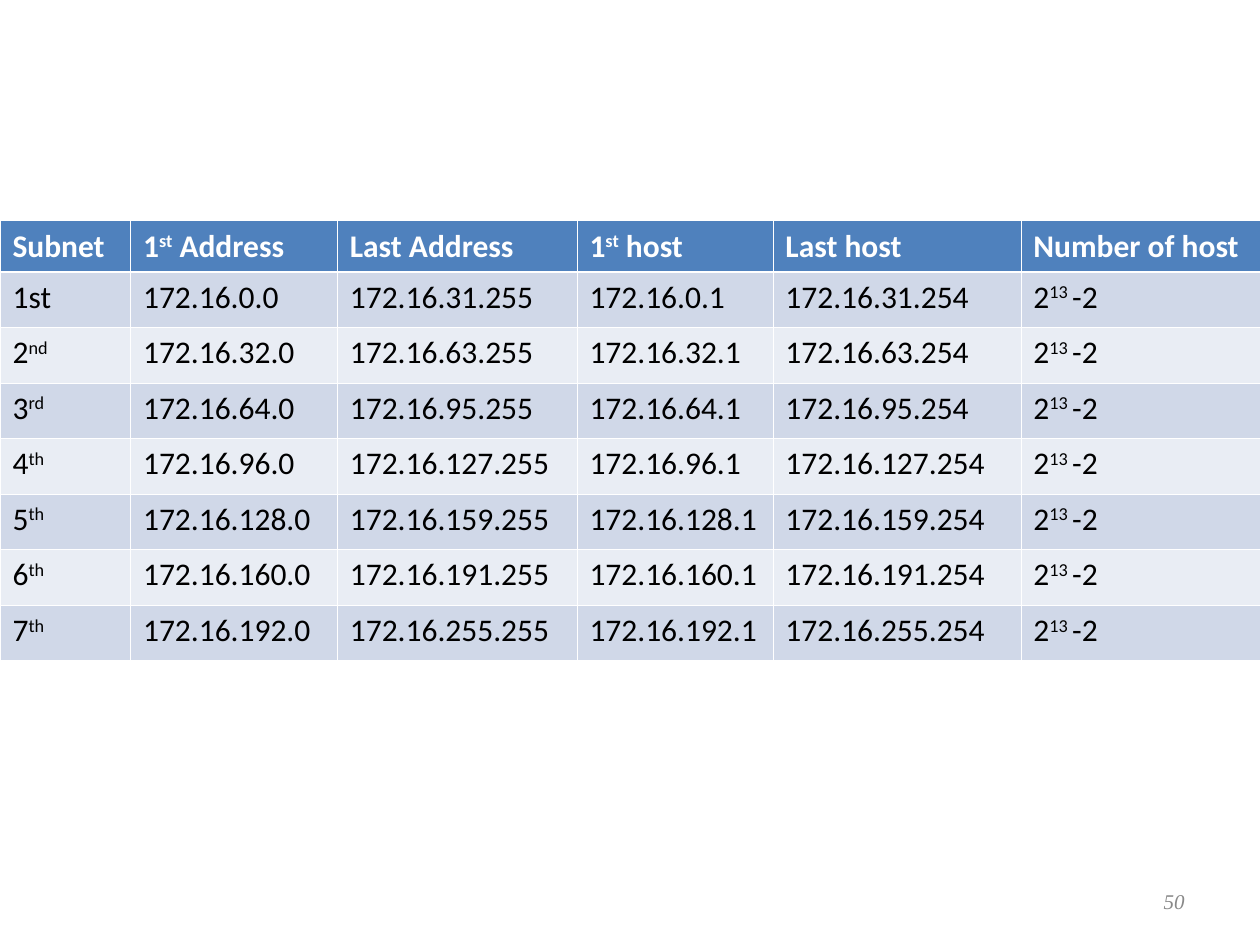
from lxml import etree
from pptx import Presentation
from pptx.dml.color import RGBColor
from pptx.enum.text import MSO_ANCHOR, PP_ALIGN
from pptx.oxml.ns import qn
from pptx.util import Cm, Pt

MIDDLE = MSO_ANCHOR.MIDDLE
RIGHT = PP_ALIGN.RIGHT

HUES = {"head": "4F81BD", "dark": "D0D8E8", "light": "E9EDF4",
        "white": "FFFFFF", "black": "000000", "gray": "898989"}
HEAD = {"name": "Calibri", "size": Pt(18), "bold": True}
BODY = {"name": "Calibri", "size": Pt(18), "bold": False}
PAGE = {"name": "Times New Roman", "size": Pt(12), "italic": True}


def write(para, text, form, hue):
    for i, part in enumerate(text.split("^")):
        run = para.add_run()
        run.text = part
        for key, value in form.items():
            setattr(run.font, key, value)
        run.font.color.rgb = RGBColor.from_string(HUES[hue])
        if i % 2:
            run.font._element.set("baseline", "30000")


def edge(cell, side, width):
    line = etree.SubElement(cell._tc.get_or_add_tcPr(), qn("a:ln" + side), w=str(Pt(width)))
    fill = etree.SubElement(line, qn("a:solidFill"))
    etree.SubElement(fill, qn("a:srgbClr"), val=HUES["white"])


deck = Presentation()
deck.slide_width, deck.slide_height = Cm(25.4), Cm(19.05)
slide = deck.slides.add_slide(deck.slide_layouts[6])

names = ["1st", "2^nd", "3^rd", "4^th", "5^th", "6^th", "7^th"]
rows = [["Subnet", "1^st^ Address", "Last Address", "1^st^ host", "Last host", "Number of host"]]
for i, name in enumerate(names):
    first = 32 * i
    last = first + 31 if i < len(names) - 1 else 255
    rows.append([name, f"172.16.{first}.0", f"172.16.{last}.255",
                 f"172.16.{first}.1", f"172.16.{last}.254", "2^13 ^-2"])

widths = [2.63, 4.17, 4.83, 3.95, 5, 4.82]
highs = [1.02] + [1.12] * len(names)
table = slide.shapes.add_table(len(rows), len(widths), Cm(0), Cm(4.45),
                               Cm(sum(widths)), Cm(sum(highs))).table
for col, width in zip(table.columns, widths):
    col.width = Cm(width)
for row, high in zip(table.rows, highs):
    row.height = Cm(high)

for r, row in enumerate(rows):
    form, hue = (BODY, "black") if r else (HEAD, "white")
    back = ("dark" if r % 2 else "light") if r else "head"
    sides = {"L": 0.45, "R": 0.45, "T": 1.47 if r == 1 else 0.45, "B": 0.45 if r else 1.47}
    for c, text in enumerate(row):
        cell = table.cell(r, c)
        for side, width in sides.items():
            edge(cell, side, width)
        cell.fill.solid()
        cell.fill.fore_color.rgb = RGBColor.from_string(HUES[back])
        write(cell.text_frame.paragraphs[0], text, form, hue)

frame = slide.shapes.add_textbox(Cm(18.2), Cm(17.65), Cm(5.93), Cm(1.02)).text_frame
frame.word_wrap = True
frame.vertical_anchor = MIDDLE
frame.paragraphs[0].alignment = RIGHT
write(frame.paragraphs[0], "50", PAGE, "gray")

deck.save("out.pptx")
